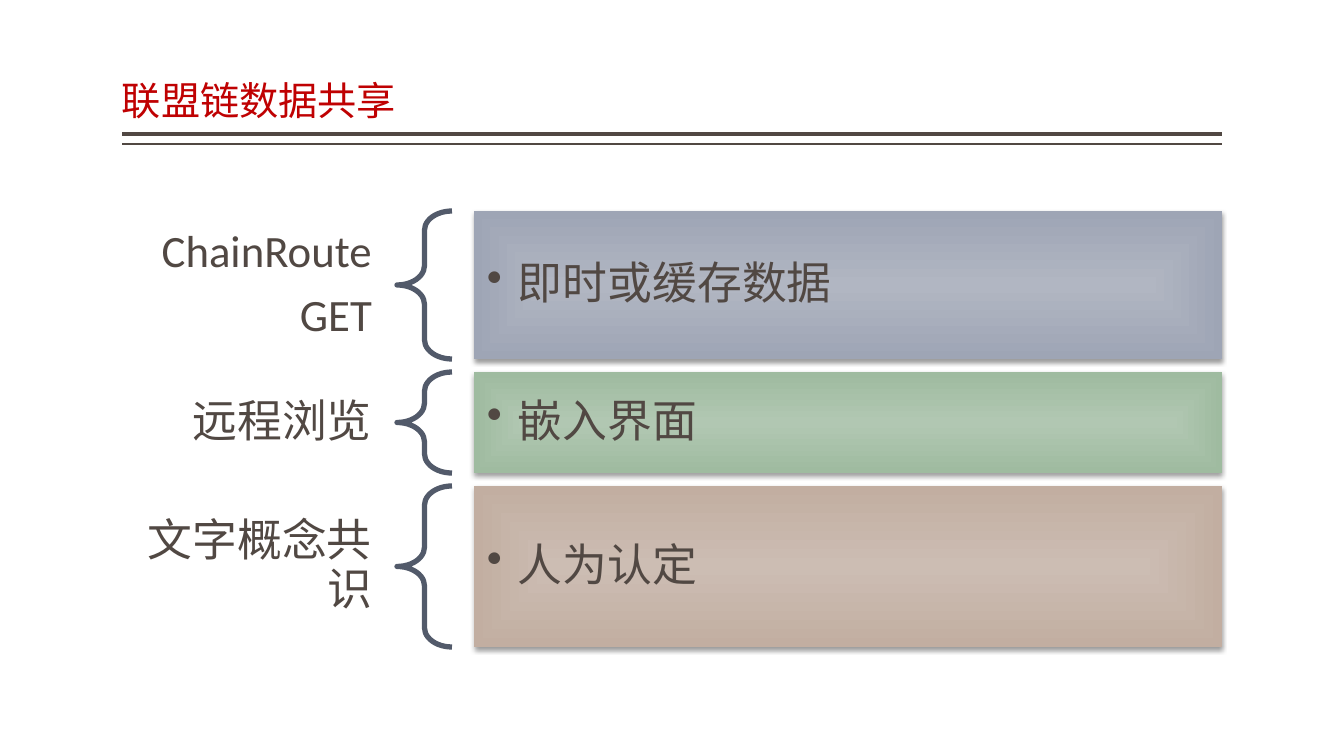
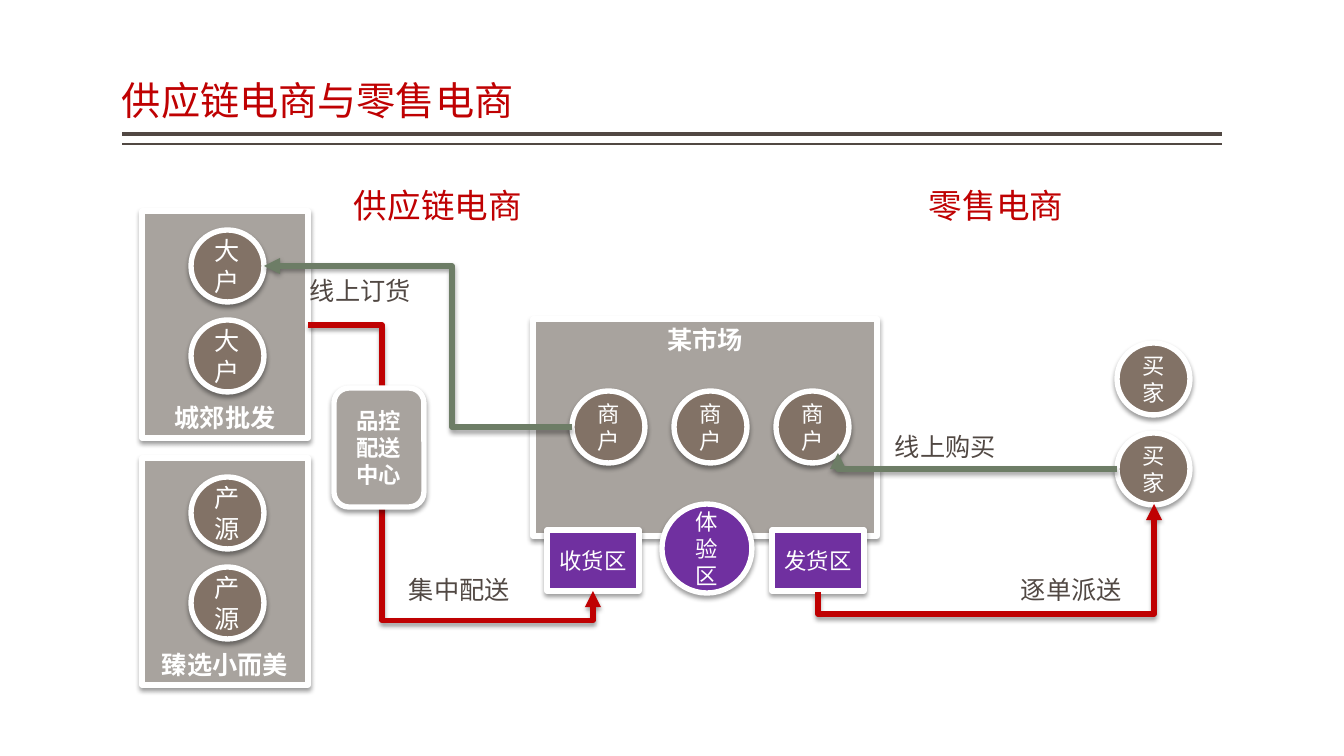
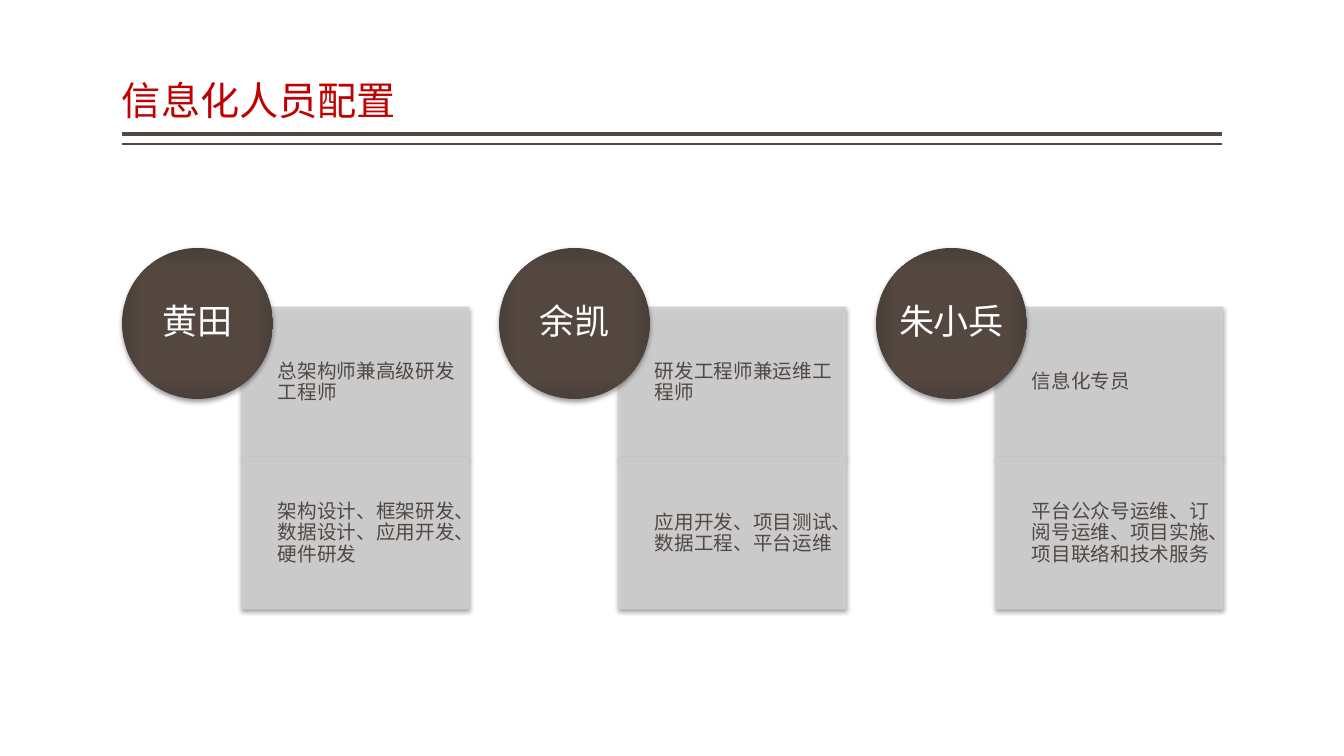
from lxml.etree import SubElement
from pptx import Presentation
from pptx.dml.color import RGBColor
from pptx.enum.shapes import MSO_CONNECTOR as Link, MSO_SHAPE as Kind
from pptx.enum.text import MSO_ANCHOR as Anchor, MSO_AUTO_SIZE as Fit, PP_ALIGN as Align
from pptx.oxml import parse_xml
from pptx.oxml.ns import nsdecls, qn
from pptx.util import Pt

PX = 12192000 / 1344
CJK = "Noto Sans CJK SC"
HUES = {
    "red": "BF0102", "ink": "514843", "white": "FFFFFF", "slate": "525A6A",
    "stone": "A8A39E", "brown": "827266", "purple": "7030A0", "green": "6D7D66",
    "card": "D0CFCF",
}
HUE = {name: RGBColor.from_string(code) for name, code in HUES.items()}
SHADE = (
    f'<a:effectLst {nsdecls("a")}><a:outerShdw blurRad="44450" dist="25400" dir="5400000" '
    'rotWithShape="0"><a:srgbClr val="000000"><a:alpha val="38000"/></a:srgbClr>'
    '</a:outerShdw></a:effectLst>'
)
GLOW = (
    f'<a:path {nsdecls("a")} path="rect">'
    '<a:fillToRect l="50000" t="50000" r="50000" b="50000"/></a:path>'
)


def draw(slide, kind, at, fill=None, line=None, width=3.82, clear=False, shade=True):
    spot = [round(n * PX) for n in at]
    if kind is None:
        return slide.shapes.add_textbox(*spot)
    shape = slide.shapes.add_shape(kind, *spot)
    props = shape.element.spPr
    if fill is None:
        shape.fill.background()
    elif isinstance(fill, tuple):
        start, *tones = fill
        shape.fill.gradient()
        stops = shape.fill.gradient_stops
        for stop, tone, place in zip(stops, tones, (start, 1)):
            stop.color.rgb = RGBColor.from_string(tone)
            stop.position = place
        angle = next(props.iter(qn("a:lin")))
        angle.getparent().replace(angle, parse_xml(GLOW))
    else:
        shape.fill.solid()
        shape.fill.fore_color.rgb = HUE[fill]
    if line:
        shape.line.color.rgb = HUE[line]
        shape.line.width = Pt(width)
    else:
        shape.line.fill.background()
    if clear:
        for color in props.iter(qn("a:srgbClr")):
            SubElement(color, qn("a:alpha"), val="90000")
    shape.shadow.inherit = False
    if shade:
        props.replace(props.find(qn("a:effectLst")), parse_xml(SHADE))
    return shape


def write(shape, text, size, hue, font="Calibri", bold=False, align=Align.LEFT,
          anchor=Anchor.MIDDLE, pad=(10, 5, 10, 5), lead=None, wrap=True):
    frame = shape.text_frame
    frame.word_wrap = wrap
    frame.auto_size = Fit.NONE
    frame.vertical_anchor = anchor
    (frame.margin_left, frame.margin_top,
     frame.margin_right, frame.margin_bottom) = [round(n * PX) for n in pad]
    for i, words in enumerate(text.split("\n")):
        para = frame.add_paragraph() if i else frame.paragraphs[0]
        para.alignment = align
        if lead:
            para.line_spacing = lead
        if i:
            para.space_before = Pt(11)
        for j, part in enumerate(words.split("|")):
            if j:
                para.add_line_break()
            run = para.add_run()
            run.text = part
            run.font.size = Pt(size)
            run.font.bold = bold
            run.font.color.rgb = HUE[hue]
            run.font.name = font
            props = run._r.get_or_add_rPr()
            props.set("lang", "zh-CN")
            SubElement(props, qn("a:ea"), typeface=CJK)


deck = Presentation()
deck.slide_width, deck.slide_height = round(1344 * PX), round(756 * PX)
layout = deck.slide_layouts[5]
pages = []
for title in ("联盟链数据共享", "供应链电商与零售电商", "信息化人员配置"):
    page = deck.slides.add_slide(layout)
    head = page.shapes.title
    head.left, head.top, head.width, head.height = [round(n * PX) for n in (122, 8, 1101, 121)]
    write(head, title, 28, "red", CJK, anchor=Anchor.BOTTOM, pad=(0, 5, 0, 5), lead=0.9)
    pages.append(page)
share, trade, staff = pages

for y, width in ((134, 3), (144, 1)):
    rule = share.shapes.add_connector(
        Link.STRAIGHT, *[round(n * PX) for n in (1222, y, 122, y)])
    rule.line.color.rgb = HUE["ink"]
    rule.line.width = Pt(width)
    SubElement(rule.element.spPr, qn("a:effectLst"))
    layout.shapes.element.append(rule.element)

top = 211
for label, note, high, fill in (
    ("ChainRoute\nGET", "即时或缓存数据", 148, (0, "B1B6C2", "9EA5B5")),
    ("远程浏览", "嵌入界面", 101, (0, "B1C7B2", "9FBBA0")),
    ("文字概念共识", "人为认定", 161, (0, "CCBDB3", "C2AEA1")),
):
    name = draw(share, None, (122, top, 275, high))
    write(name, label, 32, "ink", align=Align.RIGHT, pad=(25, 9, 25, 9), lead=0.9)
    brace = draw(share, Kind.LEFT_BRACE, (397, top, 55, high),
                 line="slate", width=3.78, shade=False)
    brace.adjustments[0] = 0.35
    bar = draw(share, Kind.RECTANGLE, (474, top, 748, high), fill)
    props = bar.text_frame.paragraphs[0]._p.get_or_add_pPr()
    props.set("marL", str(round(31 * PX)))
    props.set("indent", str(round(-31 * PX)))
    SubElement(props, qn("a:buChar"), char="•")
    write(bar, note, 32, "ink", pad=(13, 13, 13, 13), lead=0.9)
    top += high + 13

nodes = {}
ROUND, RECT = Kind.OVAL, Kind.RECTANGLE
MID, LOW = Anchor.MIDDLE, Anchor.BOTTOM
parts = [("market", RECT, (533, 319, 344, 217), "stone", "某市场", 18, True, Anchor.TOP)]
for i in range(3):
    parts.append((f"shop{i}", ROUND, (572 + 102 * i, 391, 73, 72), "brown", "商户", 16, False, MID))
for key, x, text in (("goods in", 547, "收货区"), ("goods out", 772, "发货区")):
    parts.append((key, RECT, (x, 530, 92, 61), "purple", text, 16, False, MID))
parts.append(("trial", ROUND, (662, 504, 90, 89), "purple", "体验区", 16, False, MID))
for key, y, text, who in (("farm", 458, "臻选小而美", "产源"), ("depot", 211, "城郊批发", "大户")):
    parts.append((key, RECT, (142, y, 166, 227), "stone", text, 18, True, LOW))
    for i in range(2):
        parts.append((f"{key}{i}", ROUND, (191, y + 19 + 90 * i, 73, 72), "brown", who, 18, False, MID))
for i in range(2):
    parts.append((f"buyer{i}", ROUND, (1117, 343 + 90 * i, 73, 72), "brown", "买家", 16, False, MID))
for key, kind, at, fill, text, size, bold, anchor in parts:
    nodes[key] = draw(trade, kind, at, fill, "white")
    write(nodes[key], text, size, "white", CJK, bold, Align.CENTER, anchor)

for form, ends, turn, bends, hue, start, stop in (
    ("bentConnector3", (572, 427, 264, 266), 0, (0.39,), "green", ("shop0", 2), ("depot0", 6)),
    ("bentConnector4", (308, 325, 593, 591), 0, (0.26, 1.11), "red", ("depot", 3), ("goods in", 2)),
    ("bentConnector2", (1117, 469, 838, 453), 0, (), "green", ("buyer1", 2), ("shop2", 5)),
    ("bentConnector3", (1030, 716, 942, 380), 90, (-0.25,), "red", ("goods out", 2), ("buyer1", 4)),
):
    wire = trade.shapes.add_connector(Link.ELBOW, *[round(n * PX) for n in ends])
    wire.line.color.rgb = HUE[hue]
    wire.line.width = Pt(3.82)
    SubElement(wire.line._get_or_add_ln(), qn("a:tailEnd"), type="triangle")
    props = wire.element.spPr
    props.append(parse_xml(SHADE))
    if turn:
        props.find(qn("a:xfrm")).set("rot", str(turn * 60000))
    shape = props.find(qn("a:prstGeom"))
    shape.set("prst", form)
    guides = shape.find(qn("a:avLst"))
    for i, bend in enumerate(bends, 1):
        SubElement(guides, qn("a:gd"), name=f"adj{i}", fmla=f"val {round(bend * 100000)}")
    glue = wire.element.find(qn("p:nvCxnSpPr")).find(qn("p:cNvCxnSpPr"))
    for tag, (key, site) in (("a:stCxn", start), ("a:endCxn", stop)):
        SubElement(glue, qn(tag), id=str(nodes[key].shape_id), idx=str(site))

hub = draw(trade, Kind.ROUNDED_RECTANGLE, (334, 388, 90, 119), "stone", "white")
write(hub, "品控|配送|中心", 16, "white", CJK, True, Align.CENTER)

for x, y, wide, high, text, size, hue in (
    (1011, 569, 122, 40, "逐单派送", 18, "ink"),
    (885, 426, 122, 40, "线上购买", 18, "ink"),
    (399, 569, 122, 40, "集中配送", 18, "ink"),
    (300, 270, 122, 40, "线上订货", 18, "ink"),
    (344, 180, 190, 50, "供应链电商", 24, "red"),
    (919, 180, 156, 50, "零售电商", 24, "red"),
):
    write(draw(trade, None, (x, y, wide, high)), text, size, hue, anchor=Anchor.TOP, wrap=False)

for i, (name, *duties) in enumerate((
    ("黄田", "总架构师兼高级研发工程师", "架构设计、框架研发、数据设计、应用开发、硬件研发"),
    ("余凯", "研发工程师兼运维工程师", "应用开发、项目测试、数据工程、平台运维"),
    ("朱小兵", "信息化专员", "平台公众号运维、订阅号运维、项目实施、项目联络和技术服务"),
)):
    x = 122 + 377 * i
    for j, duty in enumerate(duties):
        card = draw(staff, RECT, (x + 120, 307 + 151 * j, 227, 151), "card", "card", 0.5, True)
        write(card, duty, 14, "ink", pad=(36, 11, 11, 11), lead=0.9)
    badge = draw(staff, ROUND, (x, 248, 151, 151), (0.71, "544740", "4A3F39"))
    write(badge, name, 25, "white", align=Align.CENTER, pad=(0, 0, 0, 0), lead=0.9)

deck.save("out.pptx")
